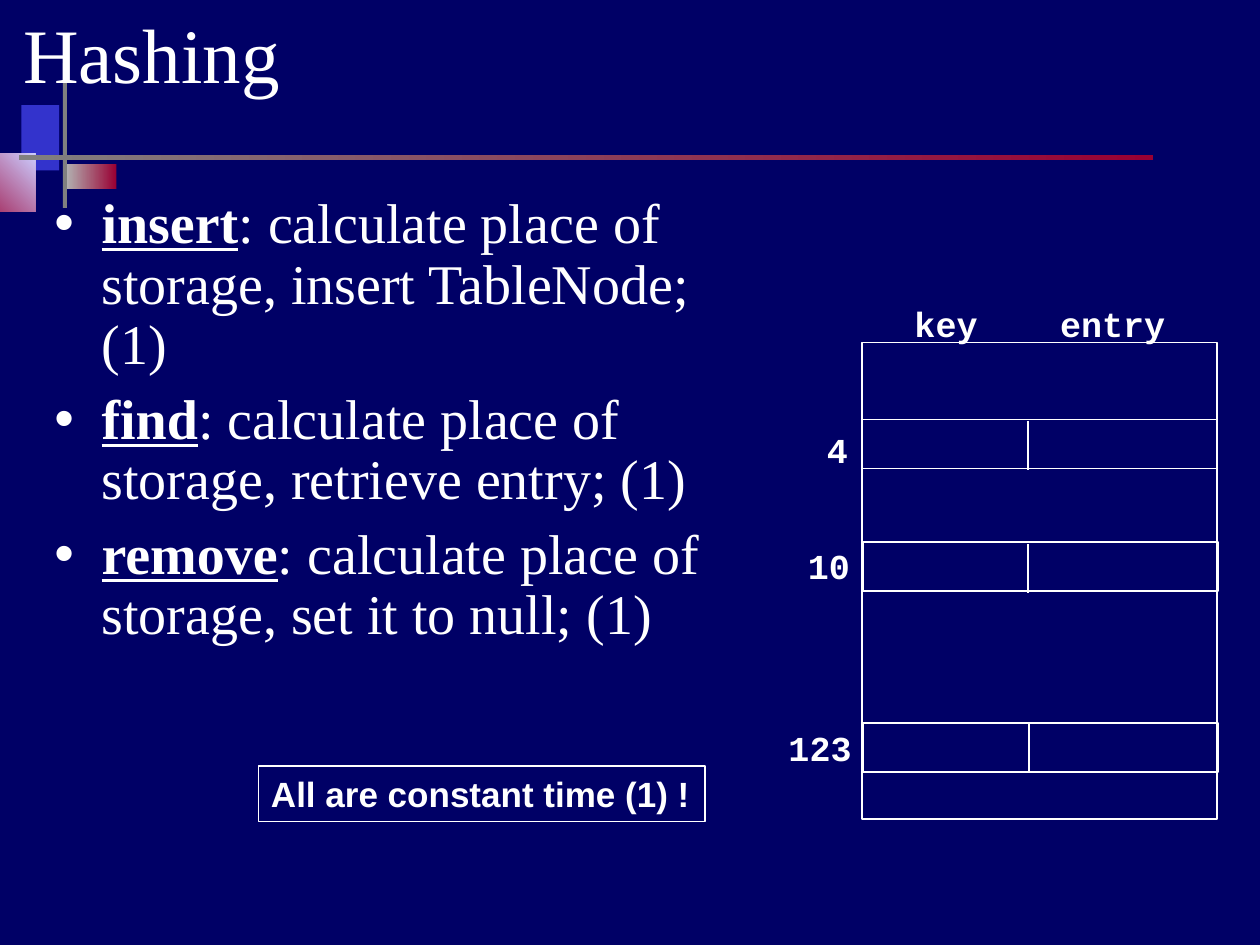
from lxml.etree import SubElement
from pptx import Presentation
from pptx.dml.color import RGBColor
from pptx.enum.shapes import MSO_CONNECTOR as CONN, MSO_SHAPE as SHAPE
from pptx.enum.text import MSO_ANCHOR as ANCHOR, MSO_AUTO_SIZE as AUTO, PP_ALIGN as ALIGN
from pptx.oxml.ns import qn
from pptx.util import Pt

NAVY = RGBColor(0x00, 0x00, 0x66)
WHITE = RGBColor(0xFF, 0xFF, 0xFF)
BLUE = RGBColor(0x33, 0x33, 0xCC)
LAVENDER = RGBColor(0xCC, 0xCC, 0xFF)
SILVER = RGBColor(0xB2, 0xB2, 0xB2)
GREY = RGBColor(0x80, 0x80, 0x80)
CRIMSON = RGBColor(0x99, 0x00, 0x33)
SERIF, MONO, SANS = "Times New Roman", "Courier New", "Arial"

# Content
TITLE = "Hashing"
OPERATIONS = [
    ("insert", ": calculate place of storage, insert TableNode; (1)"),
    ("find", ": calculate place of storage, retrieve entry; (1)"),
    ("remove", ": calculate place of storage, set it to null; (1)"),
]
NOTE = "All are constant time (1) !"

# Ornament: left, top, width, height, colours, gradient angle
ORNAMENT = [
    (12.2, 60, 21.6, 37.4, [BLUE], 0),
    (37.7, 93.6, 28.8, 14.4, [SILVER, CRIMSON], 0),
    (-24, 87.8, 44.2, 33.4, [CRIMSON, LAVENDER], 45),
    (36, 36, 2.2, 82.8, [GREY], 0),
    (10.8, 88.6, 648, 2.9, [GREY, CRIMSON], 0),
]

# Hash table: frame, column heads, and filled rows
FRAME_X, FRAME_Y, FRAME_W, FRAME_H = 492.5, 195.8, 203, 272.2
ROW_H, LABEL_H = 28, 31.7
HEADS = [("key", 515.5, 52), ("entry", 598.7, 76)]
# label, label left, label top, label width, row left, row top, divider x, divider top
ROWS = [
    ("4", 465.4, 241.2, 27.5, 492.5, 239.8, 587.5, 240.5),
    ("10", 454.5, 307.4, 40, 493.2, 309.6, 587.5, 311),
    ("123", 443.5, 411.8, 52, 493.2, 413.3, 588.2, 412.6),
]

prs = Presentation()
prs.slide_width, prs.slide_height = Pt(720), Pt(540)
s = prs.slides.add_slide(prs.slide_layouts[1])
s.background.fill.solid()
s.background.fill.fore_color.rgb = NAVY


def place(sp, x, y, w, h):
    sp.left, sp.top, sp.width, sp.height = Pt(x), Pt(y), Pt(w), Pt(h)


def add_run(p, text, font, size, bold=False, underline=False):
    r = p.add_run()
    r.text = text
    r.font.name, r.font.size = font, Pt(size)
    r.font.bold, r.font.underline = bold, underline
    r.font.color.rgb = WHITE


def add_box(x, y, w, h):
    sp = s.shapes.add_shape(SHAPE.RECTANGLE, Pt(x), Pt(y), Pt(w), Pt(h))
    sp.shadow.inherit = False
    sp.fill.background()
    sp.line.color.rgb, sp.line.width = WHITE, Pt(1)
    return sp


def write_label(sp, text, font):
    tf = sp.text_frame
    tf.word_wrap, tf.auto_size = False, AUTO.SHAPE_TO_FIT_TEXT
    tf.vertical_anchor = ANCHOR.TOP
    tf.paragraphs[0].alignment = ALIGN.LEFT
    add_run(tf.paragraphs[0], text, font, 20, bold=True)


def add_label(text, x, y, w):
    write_label(s.shapes.add_textbox(Pt(x), Pt(y), Pt(w), Pt(LABEL_H)), text, MONO)


def add_divider(x, y):
    line = s.shapes.add_connector(CONN.STRAIGHT, Pt(x), Pt(y), Pt(x), Pt(y + ROW_H))
    line.line.color.rgb, line.line.width = WHITE, Pt(1)
    SubElement(line._element.spPr, qn("a:effectLst"))


def add_bullet(p):
    pPr = p._p.get_or_add_pPr()
    pPr.set("marL", str(Pt(27)))
    pPr.set("indent", str(-Pt(27)))
    colour = SubElement(pPr, qn("a:buClr"))
    SubElement(colour, qn("a:srgbClr")).set("val", str(WHITE))
    SubElement(pPr, qn("a:buChar")).set("char", "•")


# Ornament, behind the text
for x, y, w, h, colours, angle in ORNAMENT:
    sp = add_box(x, y, w, h)
    sp.line.fill.background()
    if len(colours) == 1:
        sp.fill.solid()
        sp.fill.fore_color.rgb = colours[0]
    else:
        sp.fill.gradient()
        sp.fill.gradient_angle = angle
        for stop, colour in zip(sp.fill.gradient_stops, colours):
            stop.color.rgb = colour

# Title and operations
title, body = s.shapes.title, s.placeholders[1]
for sp in (body, title):
    s.shapes._spTree.append(sp._element)
    sp.text_frame.auto_size = AUTO.NONE
place(title, 6, 5.8, 652.3, 48.2)
title.text_frame.vertical_anchor = ANCHOR.MIDDLE
p = title.text_frame.paragraphs[0]
p.alignment = ALIGN.LEFT
add_run(p, TITLE, SERIF, 44)

place(body, 23.8, 108, 398.9, 365.8)
tf = body.text_frame
for i, (name, rest) in enumerate(OPERATIONS):
    p = tf.add_paragraph() if i else tf.paragraphs[0]
    p.line_spacing = 0.9
    p.space_before = Pt(8 if i else 0)
    add_bullet(p)
    add_run(p, name, SERIF, 32, bold=True, underline=True)
    add_run(p, rest, SERIF, 32)

# Hash table
add_box(FRAME_X, FRAME_Y, FRAME_W, FRAME_H)
for text, x, w in HEADS:
    add_label(text, x, 169.2, w)
for text, x, y, w, row_x, row_y, mid_x, mid_y in ROWS:
    add_box(row_x, row_y, FRAME_W, ROW_H)
    add_label(text, x, y, w)
    add_divider(mid_x, mid_y)

# Conclusion
write_label(add_box(147.8, 437.8, 255, LABEL_H), NOTE, SANS)

prs.save("out.pptx")
